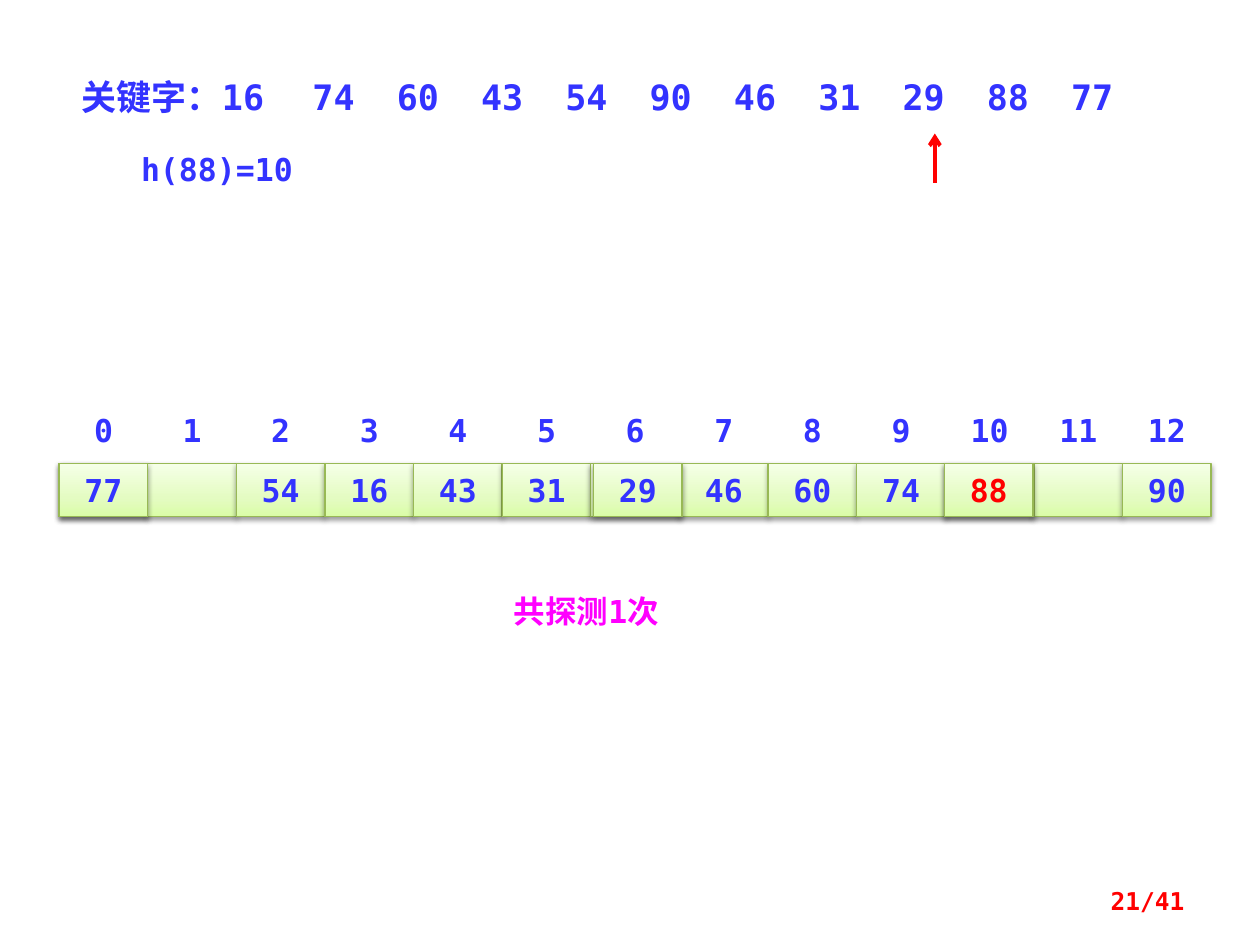
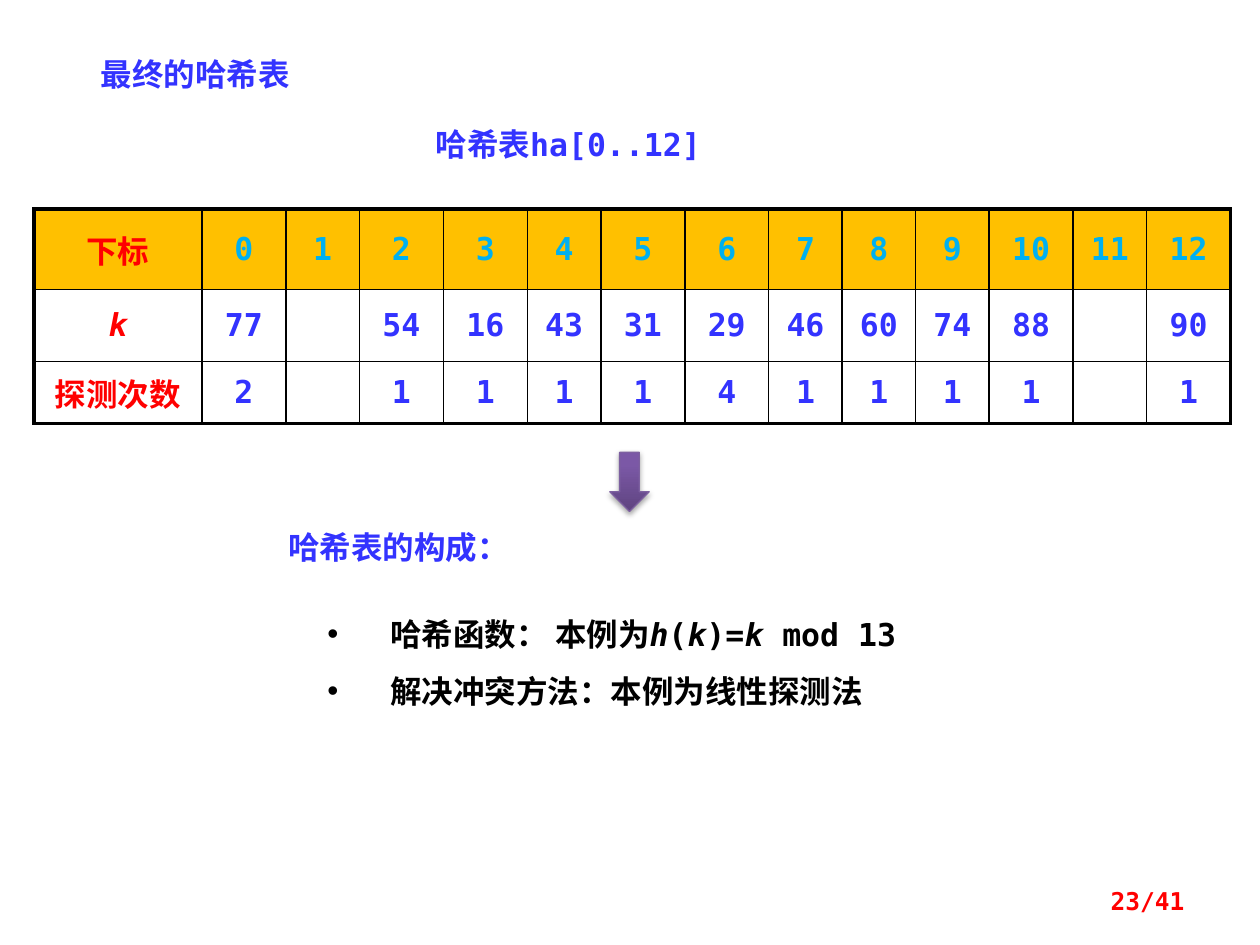
from dataclasses import dataclass

from lxml import etree
from pptx import Presentation
from pptx.dml.color import RGBColor
from pptx.enum import shapes, text
from pptx.oxml import ns
from pptx.util import Pt


@dataclass(frozen=True)
class Theme:
    font: str = "DejaVu Sans Mono"
    ink: str = "3333FF"
    accent: str = "FF0000"
    remark: str = "FF00FF"
    black: str = "000000"
    white: str = "FFFFFF"
    header_fill: str = "FFC000"
    header_ink: str = "00B0F0"
    slot_stops: tuple = ((0, "DAFDA7"), (35, "E4FCC2"), (100, "F5FFE7"))
    slot_line: str = "98B955"
    arrow_stops: tuple = ((0, "5F4480"), (80, "7B58A6"), (100, "7C57A8"))
    arrow_line: str = "7D60A0"
    keys_size: int = 20
    body_size: int = 18
    number_size: int = 14
    thin: float = 1
    thick: float = 2.25


THEME = Theme()
LAST_PAGE = 41
SLOT_COUNT = 13
ALIGN = text.PP_ALIGN
ANCHOR = text.MSO_ANCHOR
FIT = text.MSO_AUTO_SIZE.SHAPE_TO_FIT_TEXT


# Shared helpers
def apply(target, values):
    for name, value in values.items():
        setattr(target, name, value)


def add_xml(parent, tag, **attributes):
    return etree.SubElement(parent, ns.qn(tag), attributes)


def add_color(parent, color):
    return add_xml(parent, "a:srgbClr", val=color)


def write(paragraph, runs, color=THEME.ink, size=THEME.body_size, align=ALIGN.LEFT):
    """Add runs given as one string or as (words, italic) pairs."""
    paragraph.alignment = align
    for words, italic in [(runs, False)] if isinstance(runs, str) else runs:
        run = paragraph.add_run()
        run.text = words
        apply(run.font, {"name": THEME.font, "size": Pt(size), "bold": True, "italic": italic})
        run.font.color.rgb = RGBColor.from_string(color)


def points(*lengths):
    return [Pt(length) for length in lengths]


def add_label(slide, box, words, margin=None, anchor=ANCHOR.TOP, fit=FIT, **style):
    label = slide.shapes.add_textbox(*points(*box))
    frame = label.text_frame
    apply(frame, {"word_wrap": True, "auto_size": fit, "vertical_anchor": anchor})
    if margin is not None:
        apply(frame, {f"margin_{side}": Pt(margin) for side in ("left", "top", "right", "bottom")})
    write(frame.paragraphs[0], words, **style)
    return label


def add_glossy(slide, kind, box, stops, line, shadow_alpha):
    """Draw a preset shape with an upward gradient and a soft shadow below it."""
    shape = slide.shapes.add_shape(kind, *points(*box))
    shape.fill.gradient()
    shape.fill.gradient_angle = 90
    stop_list = shape.fill._xPr.find(".//" + ns.qn("a:gsLst"))
    stop_list.clear()
    for percent, color in stops:
        add_color(add_xml(stop_list, "a:gs", pos=str(percent * 1000)), color)
    shape.line.color.rgb = RGBColor.from_string(line)
    shape.line.width = Pt(0.75)
    shape.shadow.inherit = False
    effects = shape._element.spPr.find(ns.qn("a:effectLst"))
    shadow = add_xml(effects, "a:outerShdw", blurRad=str(Pt(3.1)), dist=str(Pt(1.6)),
                     dir="5400000", rotWithShape="0")
    add_xml(add_color(shadow, THEME.black), "a:alpha", val=str(shadow_alpha * 1000))
    return shape


def add_page_number(slide, page):
    add_label(slide, (516, 500.4, 168, 28.8), f"{page}/{LAST_PAGE}", anchor=ANCHOR.MIDDLE,
              fit=text.MSO_AUTO_SIZE.NONE, color=THEME.accent, size=THEME.number_size,
              align=ALIGN.RIGHT)


# Probing slide
def add_key_list(slide, left, top, keys):
    label = add_label(slide, (left, top, 680, 31.7), "关键字：" + "\t".join(keys),
                      size=THEME.keys_size)
    tabs = add_xml(label.text_frame.paragraphs[0]._p.get_or_add_pPr(), "a:tabLst")
    first, pitch = 83.7, 48.17
    for column in range(1, len(keys)):
        add_xml(tabs, "a:tab", pos=str(Pt(first + column * pitch)), algn="l")


def add_key_pointer(slide, x, top, length):
    pointer = slide.shapes.add_connector(shapes.MSO_CONNECTOR.STRAIGHT,
                                         *points(x, top + length, x, top))
    pointer.line.color.rgb = RGBColor.from_string(THEME.accent)
    pointer.line.width = Pt(THEME.thick)
    add_xml(pointer.line._get_or_add_ln(), "a:tailEnd", type="arrow")
    add_xml(pointer._element.spPr, "a:effectLst")


def add_slot(slide, box, key="", color=THEME.ink):
    slot = add_glossy(slide, shapes.MSO_SHAPE.RECTANGLE, box, THEME.slot_stops,
                      THEME.slot_line, 38)
    if key:
        slot.text_frame.vertical_anchor = ANCHOR.MIDDLE
        write(slot.text_frame.paragraphs[0], key, color=color, align=ALIGN.CENTER)


def add_slot_row(slide, left, top, settled, late):
    """Draw indexed slots, then the late keys as slots laid over them."""
    pitch, height, label_width, label_rise = 50.64, 30.2, 30.2, 30.3
    for index in range(SLOT_COUNT):
        x = left + index * pitch
        add_slot(slide, (x, top, pitch, height), settled.get(index, ""))
        add_label(slide, (x + (pitch - label_width) / 2, top - label_rise, label_width, 21.6),
                  str(index), margin=0, align=ALIGN.CENTER)
    for index, (key, nudge, color) in late.items():
        add_slot(slide, (left + index * pitch + nudge, top, pitch, height), key, color)


def build_probing_slide(deck):
    slide = deck.slides.add_slide(deck.slide_layouts[6])
    keys = "16 74 60 43 54 90 46 31 29 88 77".split()
    settled = {2: "54", 3: "16", 4: "43", 5: "31", 7: "46", 8: "60", 9: "74", 12: "90"}
    late = {6: ("29", 1.5, THEME.ink), 0: ("77", 0, THEME.ink), 10: ("88", -0.5, THEME.accent)}
    add_slot_row(slide, 33.8, 265, settled, late)
    add_key_list(slide, 39.6, 39.6, keys)
    add_label(slide, (56.2, 82.1, 135.4, 28.8), "h(88)=10", align=ALIGN.CENTER)
    add_key_pointer(slide, 534.2, 76.3, 28)
    add_label(slide, (286.6, 334.8, 140.4, 28.8), "共探测1次", color=THEME.remark)
    add_page_number(slide, 21)


# Final table slide
def add_title(slide, box, words):
    title = slide.shapes.title
    apply(title, dict(zip(("left", "top", "width", "height"), points(*box))))
    apply(title.text_frame, {"vertical_anchor": ANCHOR.TOP, "auto_size": FIT, "word_wrap": True})
    write(title.text_frame.paragraphs[0], words)


def set_borders(cell, widths):
    properties = cell._tc.get_or_add_tcPr()
    for order, (side, width) in enumerate(widths.items()):
        border = add_xml(properties, f"a:ln{side}", w=str(Pt(width)))
        add_color(add_xml(border, "a:solidFill"), THEME.black)
        properties.insert(order, border)


def add_hash_table(slide, left, top, rows):
    narrow_slots = {1, 4, 7, 8, 9, 11}
    widths = [96] + [42 if slot in narrow_slots else 48 for slot in range(SLOT_COUNT)]
    heights = [46, 41, 35.5]
    table = slide.shapes.add_table(len(rows), len(widths),
                                   *points(left, top, sum(widths), sum(heights))).table
    apply(table, {"first_row": False, "horz_banding": False})
    for column, width in zip(table.columns, widths):
        column.width = Pt(width)
    last_row, last_column = len(rows) - 1, len(widths) - 1
    for r, row in enumerate(rows):
        table.rows[r].height = Pt(heights[r])
        for c, words in enumerate(row):
            cell = table.cell(r, c)
            cell.vertical_anchor = ANCHOR.MIDDLE
            if r == 0:
                cell.fill.solid()
                cell.fill.fore_color.rgb = RGBColor.from_string(THEME.header_fill)
            else:
                cell.fill.background()
            outer = {"L": c == 0, "R": c == last_column, "T": r == 0, "B": r == last_row}
            set_borders(cell, {side: THEME.thick if edge else THEME.thin
                               for side, edge in outer.items()})
            if words:
                color = THEME.accent if c == 0 else THEME.header_ink if r == 0 else THEME.ink
                write(cell.text_frame.paragraphs[0], [(words, words == "k")], color=color,
                      align=ALIGN.CENTER)


def add_composition(slide, left, top, heading, points_made):
    """Place the arrow, the heading and the bulleted parts of a hash table."""
    add_label(slide, (left, top + 39.6, 174.2, 28.8), heading)
    parts = slide.shapes.add_textbox(*points(left + 22.3, top + 76.3, 416.2, 80))
    parts.fill.solid()
    parts.fill.fore_color.rgb = RGBColor.from_string(THEME.white)
    frame = parts.text_frame
    apply(frame, {"word_wrap": True, "auto_size": FIT,
                  "margin_top": Pt(5.8), "margin_bottom": Pt(8.6)})
    for number, runs in enumerate(points_made):
        paragraph = frame.add_paragraph() if number else frame.paragraphs[0]
        write(paragraph, runs, color=THEME.black)
        paragraph.line_spacing = 1.5
        properties = paragraph._p.get_or_add_pPr()
        properties.set("marL", str(Pt(36)))
        properties.set("indent", str(Pt(-36)))
        add_xml(properties, "a:buFont", typeface="Arial")
        add_xml(properties, "a:buChar", char="•")
    add_glossy(slide, shapes.MSO_SHAPE.DOWN_ARROW, (left + 190.8, top, 22.5, 33.8),
               THEME.arrow_stops, THEME.arrow_line, 35)


def build_final_table_slide(deck):
    slide = deck.slides.add_slide(deck.slide_layouts[5])
    keys = ["77", "", "54", "16", "43", "31", "29", "46", "60", "74", "88", "", "90"]
    probes = ["2", "", "1", "1", "1", "1", "4", "1", "1", "1", "1", "", "1"]
    add_title(slide, (50.4, 28.1, 219.6, 28.8), "最终的哈希表")
    add_hash_table(slide, 19.4, 119.5, [["下标", *map(str, range(SLOT_COUNT))],
                                        ["k", *keys], ["探测次数", *probes]])
    add_label(slide, (241.9, 67.7, 213.8, 28.8), "哈希表ha[0..12]")
    add_composition(slide, 157.7, 258.5, "哈希表的构成：", [
        [("哈希函数： 本例为", False), ("h", True), ("(", False), ("k", True), (")=", False),
         ("k", True), (" mod 13", False)],
        "解决冲突方法：本例为线性探测法",
    ])
    add_page_number(slide, 23)


def main():
    deck = Presentation()
    apply(deck, {"slide_width": Pt(720), "slide_height": Pt(540)})
    build_probing_slide(deck)
    build_final_table_slide(deck)
    deck.save("out.pptx")


if __name__ == "__main__":
    main()
